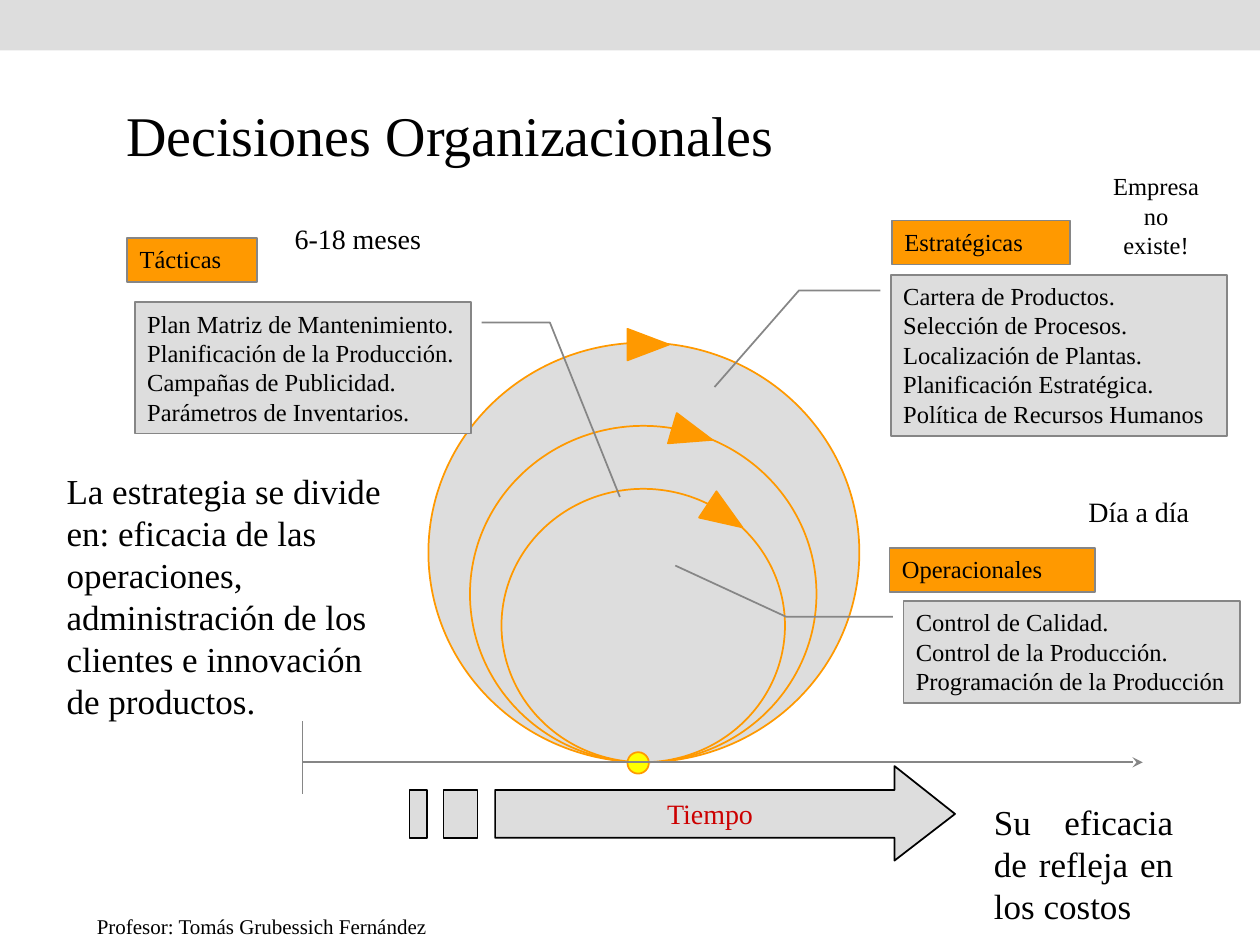
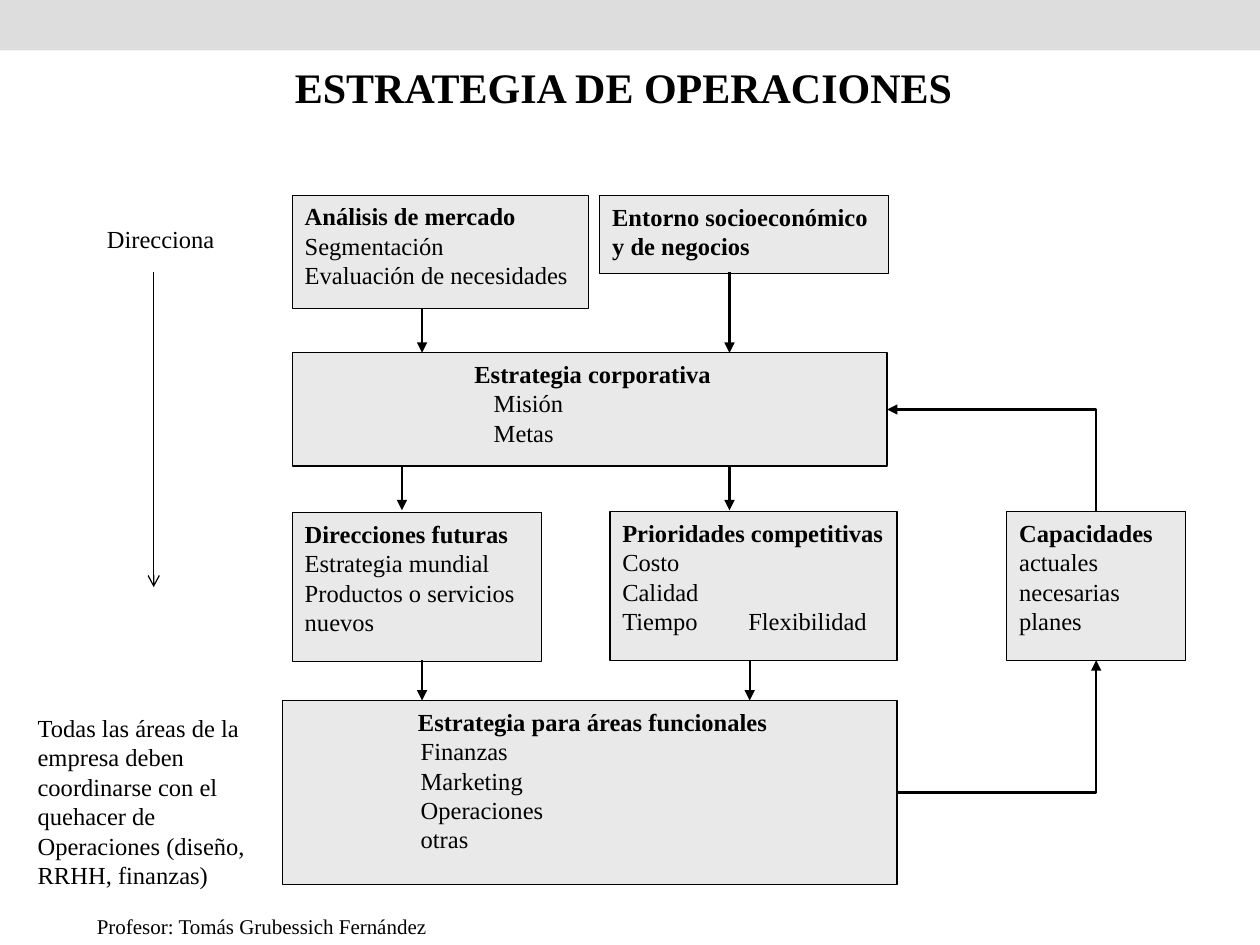
import pptx
import pptx.util
import pptx.dml.color
import pptx.enum.shapes
import pptx.enum.text
import pptx.oxml
import pptx.oxml.ns
from pptx.util import Inches

SHAPES = pptx.enum.shapes.MSO_SHAPE
CONNECTORS = pptx.enum.shapes.MSO_CONNECTOR
ALIGN = pptx.enum.text.PP_ALIGN
ANCHOR = pptx.enum.text.MSO_ANCHOR
FONT = "Times New Roman"
BLACK, GREY, SILVER, ORANGE = "000000", "868686", "DDDDDD", "FF9900"
YELLOW, RED, BOX_GREY = "FFFF00", "CC0000", "C0C0C0"


def paint(shape, fill=None, line=None, width=1, opacity=None, arrow=None, arrow_end="tailEnd"):
    """Set fill, line and arrowhead of a shape or connector, and drop its shadow."""
    properties = shape._element.spPr
    if fill:
        shape.fill.solid()
        shape.fill.fore_color.rgb = pptx.dml.color.RGBColor.from_string(fill)
    if opacity:
        color = properties.find(".//" + pptx.oxml.ns.qn("a:srgbClr"))
        color.append(pptx.oxml.parse_xml(
            f'<a:alpha {pptx.oxml.ns.nsdecls("a")} val="{opacity * 1000}"/>'))
    if line:
        shape.line.color.rgb = pptx.dml.color.RGBColor.from_string(line)
        shape.line.width = pptx.util.Pt(width)
    else:
        shape.line.fill.background()
    if arrow:
        shape.line._get_or_add_ln().append(pptx.oxml.parse_xml(
            f'<a:{arrow_end} {pptx.oxml.ns.nsdecls("a")} type="{arrow}"/>'))
    properties.append(pptx.oxml.parse_xml(f'<a:effectLst {pptx.oxml.ns.nsdecls("a")}/>'))


def write(shape, text, size, color=BLACK, align=ALIGN.LEFT, bold_lines=0):
    """Fill a shape with one paragraph per line of text, the first ones bold."""
    frame = shape.text_frame
    frame.text = text
    frame.word_wrap = True
    frame.auto_size = pptx.enum.text.MSO_AUTO_SIZE.NONE
    frame.vertical_anchor = ANCHOR.TOP
    for number, paragraph in enumerate(frame.paragraphs):
        paragraph.alignment = align
        for run in paragraph.runs:
            run.font.name = FONT
            run.font.size = pptx.util.Pt(size)
            run.font.bold = number < bold_lines
            run.font.color.rgb = pptx.dml.color.RGBColor.from_string(color)


presentation = pptx.Presentation()
presentation.slide_width, presentation.slide_height = Inches(10), Inches(7.5)
layout = presentation.slide_layouts[5]

# Titles
titles = [
    ("Decisiones Organizacionales", (0.9, 0.75, 5.4, 0.64), 32, 0),
    ("ESTRATEGIA DE OPERACIONES", (2.24, 0.44, 5.46, 0.5), 24, 1),
]
for text, place, size, bold_lines in titles:
    title = presentation.slides.add_slide(layout).shapes.title
    title.left, title.top, title.width, title.height = map(Inches, place)
    write(title, text, size, bold_lines=bold_lines)
decisions, strategy = (slide.shapes for slide in presentation.slides)

# Band and footer, moved to the layout that both slides share
band = decisions.add_shape(SHAPES.RECTANGLE, 0, 0, Inches(10), Inches(0.4))
paint(band, SILVER)
footer = decisions.add_textbox(Inches(0.67), Inches(7.2), Inches(8.66), Inches(0.3))
write(footer, "Profesor: Tomás Grubessich Fernández", 12)
for number, shape in enumerate((band, footer)):
    shape._element.nvSpPr.cNvPr.set("id", str(101 + number))
    layout.shapes._spTree.append(shape._element)

# Slide 1: nested cycles that touch the time axis
circles = [
    (3.4, 2.72, 3.42, 3.33, SILVER),
    (3.73, 3.38, 2.75, 2.67, SILVER),
    (3.98, 3.88, 2.25, 2.17, SILVER),
    (4.98, 5.97, 0.17, 0.17, YELLOW),
]
for *place, fill in circles:
    circle = decisions.add_shape(SHAPES.OVAL, *map(Inches, place))
    paint(circle, fill, ORANGE)

for left, top, rotation in [(4.98, 2.61, 0), (5.33, 3.32, 16.3), (5.59, 3.97, 33.5)]:
    arrowhead = decisions.add_shape(
        SHAPES.RIGHT_ARROW, Inches(left), Inches(top), Inches(0.33), Inches(0.25))
    arrowhead.adjustments[0] = 0.5
    arrowhead.adjustments[1] = 1.33
    arrowhead.rotation = rotation
    paint(arrowhead, ORANGE, ORANGE)

for *ends, arrow in [(2.4, 6.05, 9.07, 6.05, "stealth"), (2.4, 6.3, 2.4, 5.72, None)]:
    axis = decisions.add_connector(CONNECTORS.STRAIGHT, *map(Inches, ends))
    paint(axis, line=GREY, arrow=arrow)

# Slide 1: examples of each kind of decision
callouts = [
    ((7.07, 2.18, 2.67, 1.28), (0.098, -0.031, 0.098, -0.273, 0.697, -0.524),
     "Cartera de Productos.\nSelección de Procesos.\nLocalización de Plantas.\n"
     "Planificación Estratégica.\nPolítica de Recursos Humanos"),
    ((7.17, 4.77, 2.67, 0.81), (0.154, -0.031, 0.154, -0.349, -0.348, -0.678),
     "Control de Calidad.\nControl de la Producción.\nProgramación de la Producción"),
    ((1.07, 2.4, 2.67, 1.04), (0.154, 1.031, 0.154, 1.234, 1.485, 1.442),
     "Plan Matriz de Mantenimiento.\nPlanificación de la Producción.\n"
     "Campañas de Publicidad.\nParámetros de Inventarios."),
]
for place, pointer, text in callouts:
    callout = decisions.add_shape(SHAPES.LINE_CALLOUT_2, *map(Inches, place))
    for number, value in enumerate(pointer):
        callout.adjustments[number] = value
    paint(callout, SILVER, GREY)
    write(callout, text, 14)

# Slide 1: striped time arrow
builder = decisions.build_freeform(Inches(7.1), Inches(6.08), scale=1.0)
head = [(7.1, 6.27), (3.93, 6.27), (3.93, 6.65), (7.1, 6.65), (7.1, 6.83), (7.58, 6.46)]
builder.add_line_segments([(Inches(x), Inches(y)) for x, y in head], close=True)
for left, right in [(3.52, 3.79), (3.25, 3.39)]:
    builder.move_to(Inches(left), Inches(6.27))
    stripe = [(left, 6.65), (right, 6.65), (right, 6.27)]
    builder.add_line_segments([(Inches(x), Inches(y)) for x, y in stripe], close=True)
time_arrow = builder.convert_to_shape()
paint(time_arrow, SILVER, BLACK)
write(time_arrow, "Tiempo", 16, RED, ALIGN.CENTER)
time_arrow.text_frame.vertical_anchor = ANCHOR.MIDDLE
time_arrow.text_frame.margin_left = Inches(0.54)

# Slide 1: names of the decisions
for left, top, width, text in [
    (7.08, 1.75, 1.41, "Estratégicas"),
    (7.06, 4.35, 1.63, "Operacionales"),
    (1.01, 1.89, 1.03, "Tácticas"),
]:
    label = decisions.add_shape(
        SHAPES.RECTANGLE, Inches(left), Inches(top), Inches(width), Inches(0.35))
    paint(label, ORANGE, GREY)
    write(label, text, 14)

# Notes on both slides
notes = [
    (decisions, (0.43, 3.68, 2.82, 2.12), 20, ALIGN.LEFT,
     "La estrategia se divide en: eficacia de las operaciones, "
     "administración de los clientes e innovación de productos."),
    (decisions, (7.79, 6.3, 1.62, 1.11), 20, ALIGN.JUSTIFY,
     "Su eficacia de refleja en los costos"),
    (decisions, (8.7, 1.31, 0.95, 0.81), 14, ALIGN.CENTER, "Empresa no existe!"),
    (decisions, (2.24, 1.71, 1.26, 0.37), 16, ALIGN.LEFT, "6-18 meses"),
    (decisions, (8.54, 3.88, 1.26, 0.37), 16, ALIGN.LEFT, "Día a día"),
    (strategy, (0.2, 5.61, 2.05, 1.92), 14, ALIGN.LEFT,
     "Todas las áreas de la empresa deben coordinarse con el quehacer de "
     "Operaciones (diseño, RRHH, finanzas)"),
    (strategy, (0.75, 1.73, 1.34, 0.34), 14, ALIGN.LEFT, "Direcciona"),
]
for shapes, place, size, align, text in notes:
    write(shapes.add_textbox(*map(Inches, place)), text, size, align=align)

# Slide 2: boxes; an indent means a centred heading over an indented list
boxes = {
    "market": ((2.32, 1.55, 2.35, 0.9), 1, 0,
               "Análisis de mercado\nSegmentación\nEvaluación de necesidades"),
    "environment": ((4.76, 1.55, 2.29, 0.62), 2, 0,
                    "Entorno socioeconómico\ny de negocios"),
    "corporate": ((2.32, 2.8, 4.72, 0.9), 1, 1.5, "Estrategia corporativa\nMisión\nMetas"),
    "priorities": ((4.84, 4.06, 2.28, 1.18), 1, 0,
                   "Prioridades competitivas\nCosto\nCalidad\nTiempo\tFlexibilidad"),
    "functional": ((2.24, 5.56, 4.88, 1.46), 1, 1,
                   "Estrategia para áreas funcionales\nFinanzas\nMarketing\nOperaciones\notras"),
    "capabilities": ((7.99, 4.06, 1.42, 1.18), 1, 0,
                     "Capacidades\nactuales\nnecesarias\nplanes"),
    "directions": ((2.32, 4.07, 1.98, 1.18), 1, 0,
                   "Direcciones futuras\nEstrategia mundial\nProductos o servicios\nnuevos"),
}
box_shapes = {}
for name, (place, bold_lines, indent, text) in boxes.items():
    box = strategy.add_shape(SHAPES.RECTANGLE, *map(Inches, place))
    paint(box, BOX_GREY, BLACK, 0.75, opacity=35)
    write(box, text, 14, bold_lines=bold_lines)
    box.text_frame.margin_right = Inches(0.05)
    if indent:
        heading, *items = box.text_frame.paragraphs
        heading.alignment = ALIGN.CENTER
        for item in items:
            item._p.get_or_add_pPr().set("marL", str(Inches(indent)))
    box_shapes[name] = box

# Slide 2: downward arrows
for x, top, bottom, width, arrow in [
    (3.35, 2.45, 2.8, 1.25, "triangle"),
    (5.79, 2.16, 2.8, 1.25, "triangle"),
    (3.19, 3.7, 4.05, 1.25, "triangle"),
    (5.79, 3.7, 4.05, 1.25, "triangle"),
    (3.35, 5.24, 5.56, 1.25, "triangle"),
    (5.95, 5.24, 5.56, 1.25, "triangle"),
    (1.22, 2.16, 4.66, 0.75, "arrow"),
]:
    down = strategy.add_connector(
        CONNECTORS.STRAIGHT, Inches(x), Inches(top), Inches(x), Inches(bottom))
    paint(down, line=BLACK, width=width, arrow=arrow)

# Slide 2: feedback through the capabilities, one bend each
for source, side, arrow_end in [("functional", 2, "tailEnd"), ("corporate", 0, "headEnd")]:
    elbow = strategy.add_connector(CONNECTORS.ELBOW, 0, 0, 0, 0)
    elbow.begin_connect(box_shapes[source], 3)
    elbow.end_connect(box_shapes["capabilities"], side)
    elbow._element.spPr.find(pptx.oxml.ns.qn("a:prstGeom")).set("prst", "bentConnector2")
    paint(elbow, line=BLACK, width=1.25, arrow="triangle", arrow_end=arrow_end)

presentation.save("out.pptx")
